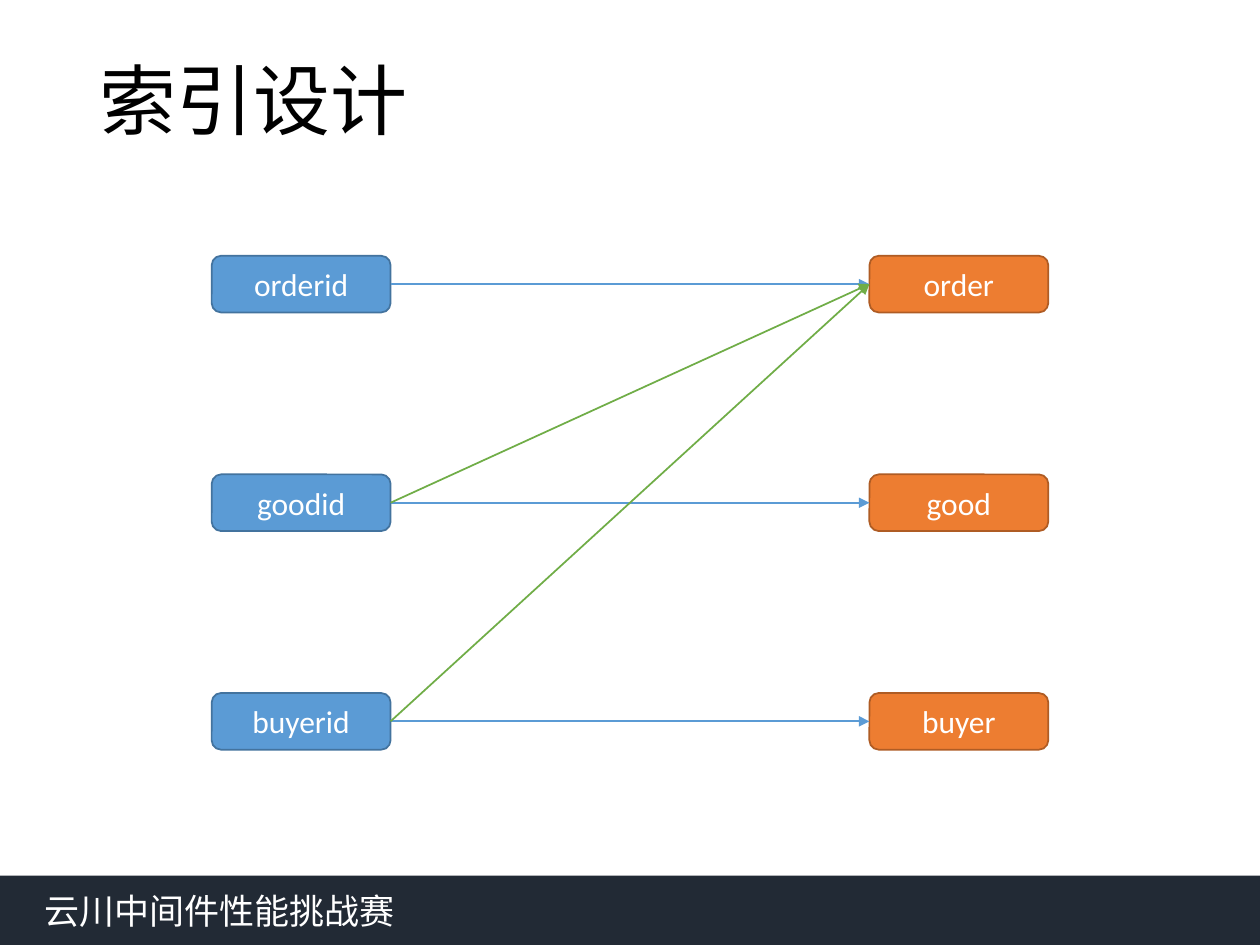
from pptx import Presentation
from pptx.dml.color import RGBColor
from pptx.enum.shapes import MSO_CONNECTOR as Connector, MSO_SHAPE as Shape
from pptx.enum.text import MSO_ANCHOR as Anchor, PP_ALIGN as Align
from pptx.oxml.ns import qn
from pptx.util import Inches, Pt
from lxml.etree import SubElement

BLUE, ORANGE, GREEN = "5B9BD5", "ED7D31", "70AD47"
BLUE_EDGE, ORANGE_EDGE = "43739E", "AF5C24"
NAVY, WHITE, BLACK = "222A35", "FFFFFF", "000000"
LEFT_SITE, RIGHT_SITE = 1, 3


def color(value):
    return RGBColor.from_string(value)


class SlideBuilder:
    font = "Calibri"
    cjk_font = "Noto Sans CJK SC"
    box_width, box_height = 1.42, 0.45
    line_width = Pt(1)

    def __init__(self, slide):
        self.slide = slide

    def label(self, shape, text, size, ink, align, font=None):
        frame = shape.text_frame
        frame.text = text
        frame.vertical_anchor = Anchor.MIDDLE
        paragraph = frame.paragraphs[0]
        paragraph.alignment = align
        paragraph.font.name = font or self.font
        paragraph.font.size = Pt(size)
        paragraph.font.color.rgb = color(ink)
        return paragraph

    def title(self, text):
        heading = self.slide.shapes.title
        heading.left, heading.top = Inches(0.69), Inches(0.36)
        heading.width, heading.height = Inches(8.62), Inches(0.94)
        self.label(heading, text, 44, BLACK, Align.LEFT).line_spacing = 0.9

    def block(self, kind, left, top, width, height, fill):
        block = self.slide.shapes.add_shape(
            kind, Inches(left), Inches(top), Inches(width), Inches(height))
        block.shadow.inherit = False
        block.fill.solid()
        block.fill.fore_color.rgb = color(fill)
        return block

    def footer(self, text):
        band = self.block(Shape.RECTANGLE, 0, 6.95, 10, 0.55, NAVY)
        band.line.fill.background()
        band.text_frame.margin_left = Inches(0.35)
        self.label(band, text, 20, WHITE, Align.LEFT, self.cjk_font)

    def node(self, text, left, top, fill, edge):
        node = self.block(Shape.ROUNDED_RECTANGLE, left, top,
                          self.box_width, self.box_height, fill)
        node.line.color.rgb = color(edge)
        node.line.width = self.line_width
        self.label(node, text, 18, WHITE, Align.CENTER)
        return node

    def arrow(self, source, target, ink):
        arrow = self.slide.shapes.add_connector(Connector.STRAIGHT, 0, 0, 0, 0)
        arrow.begin_connect(source, RIGHT_SITE)
        arrow.end_connect(target, LEFT_SITE)
        arrow.line.color.rgb = color(ink)
        arrow.line.width = self.line_width
        properties = arrow._element.spPr
        SubElement(properties.find(qn("a:ln")), qn("a:tailEnd"), type="triangle")
        SubElement(properties, qn("a:effectLst"))


def main():
    deck = Presentation()
    deck.slide_width, deck.slide_height = Inches(10), Inches(7.5)
    page = SlideBuilder(deck.slides.add_slide(deck.slide_layouts[5]))

    # Footer band and title
    page.footer("云川中间件性能挑战赛")
    page.title("索引设计")

    # Index keys on the left, tables on the right
    row_tops = [2.03 + 1.735 * row for row in range(3)]
    keys = [page.node(name, 1.68, top, BLUE, BLUE_EDGE)
            for name, top in zip(("orderid", "goodid", "buyerid"), row_tops)]
    tables = [page.node(name, 6.9, top, ORANGE, ORANGE_EDGE)
              for name, top in zip(("order", "good", "buyer"), row_tops)]

    # Each key leads to its own table
    for key, table in zip(keys, tables):
        page.arrow(key, table, BLUE)

    # Good and buyer keys also lead to the order table
    for key in keys[1:]:
        page.arrow(key, tables[0], GREEN)

    deck.save("out.pptx")


if __name__ == "__main__":
    main()
